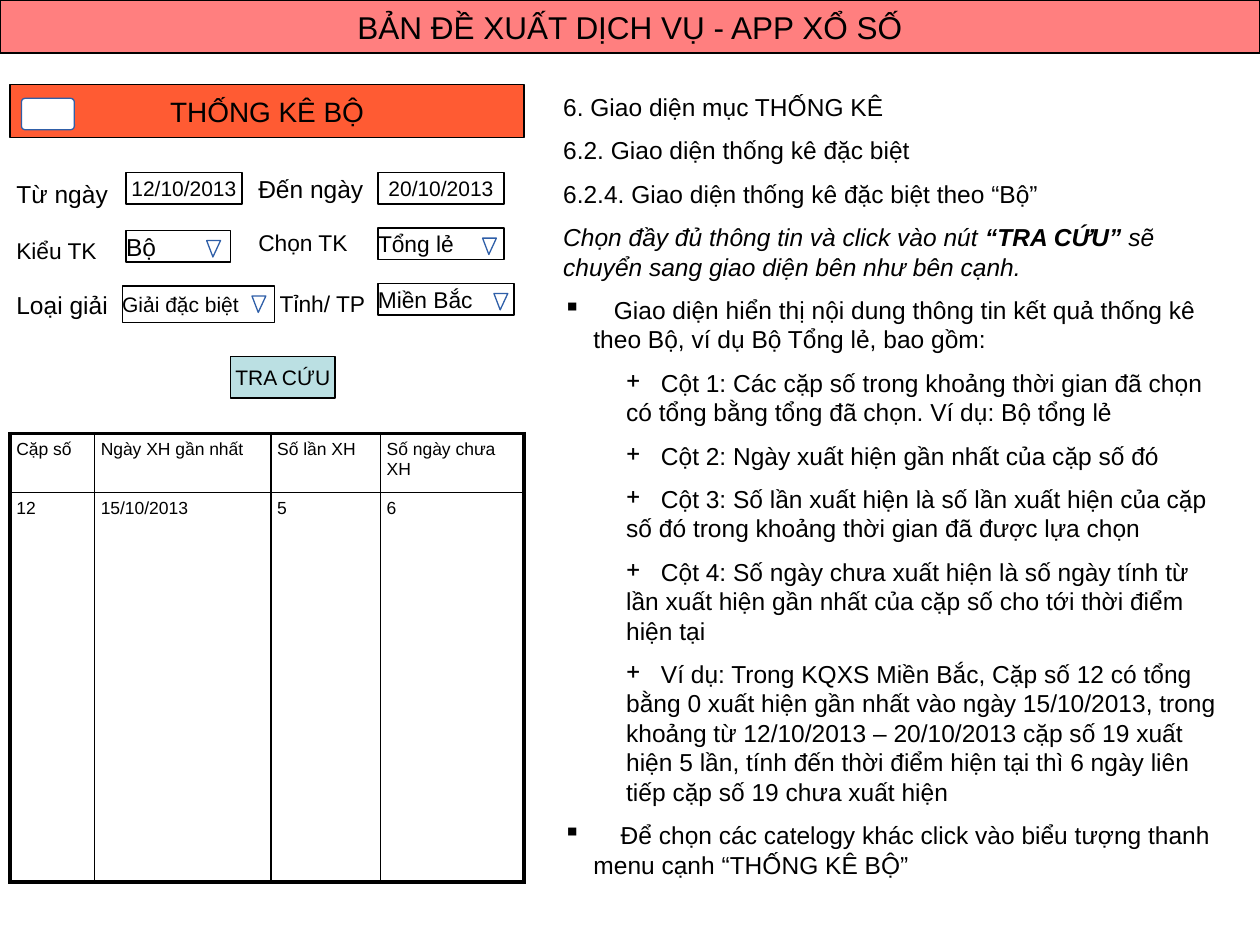
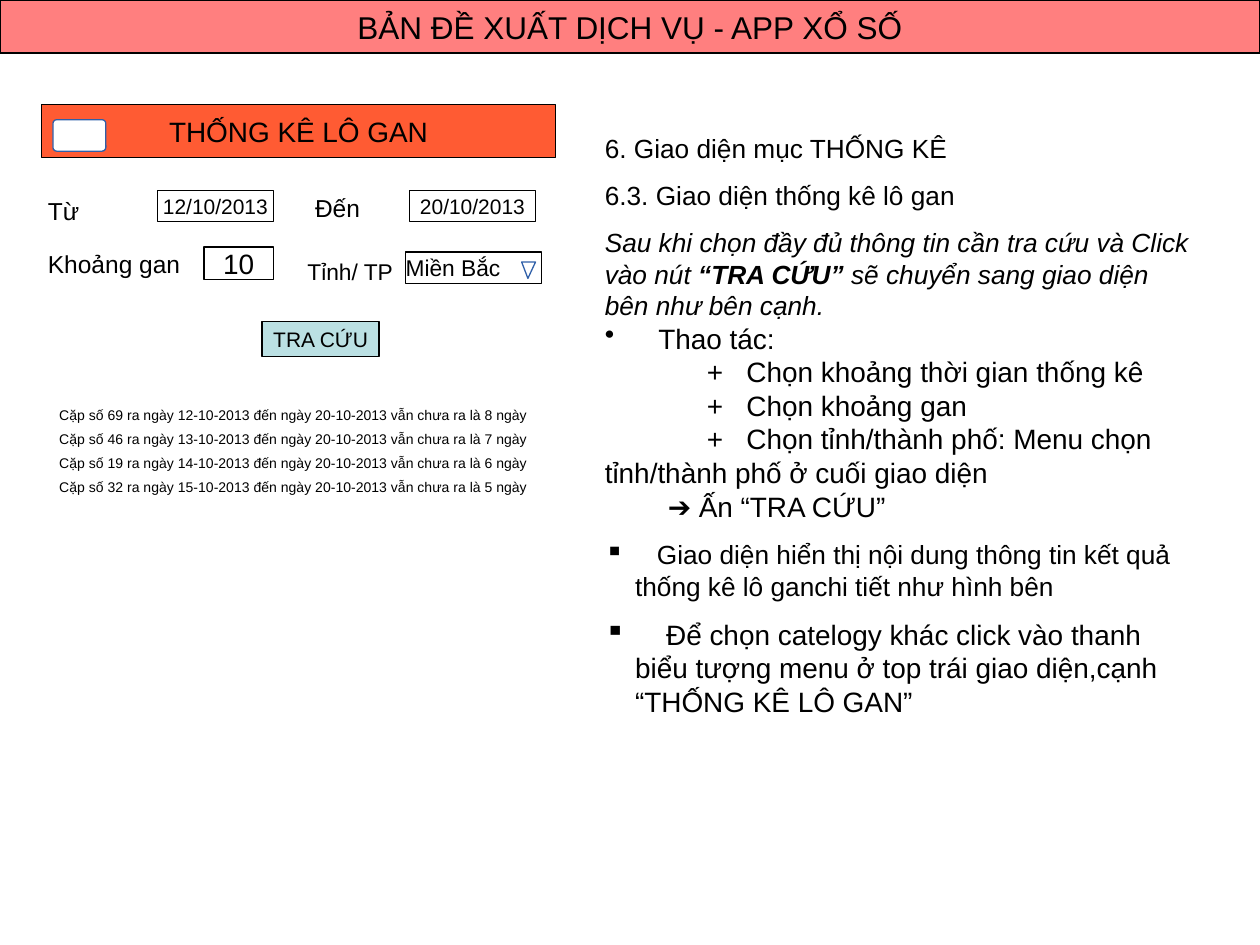
from lxml import etree
from pptx import Presentation
from pptx.dml.color import RGBColor
from pptx.enum import shapes, text
from pptx.oxml import ns
from pptx.util import Inches, Pt

BLACK = RGBColor(0, 0, 0)
WHITE = RGBColor(255, 255, 255)
BANNER_RED = RGBColor(255, 0, 0)
HEADING_ORANGE = RGBColor(255, 51, 0)
BUTTON_TEAL = RGBColor(0xBB, 0xE0, 0xE3)
OUTLINE_BLUE = RGBColor(0x2F, 0x5F, 0xA8)
FONT = "Arial"
SPACE_WIDTH = 0.278
LINE_HEIGHT = {12: 0.29, 13: 0.3, 14: 0.32, 16: 0.34, 18: 0.38}
BANNER = "BẢN ĐỀ XUẤT DỊCH VỤ - APP XỔ SỐ"

# kind: bullet, bullet colour-free marker, left margin, first indent, level, lead text
KINDS = {
    "plain": dict(bullet=None, margin=0, indent=0, level=0, lead=""),
    "square": dict(bullet="▪", margin=0.24, indent=-0.24, level=0, lead=""),
    "dot": dict(bullet="•", margin=0.24, indent=-0.24, level=0, lead=""),
    "plus": dict(bullet="+", margin=0.5, indent=0, level=1, lead=""),
    "step": dict(bullet=None, margin=0, indent=0.81, level=1, lead="+"),
    "result": dict(bullet=None, margin=0, indent=0.5, level=1, lead=""),
}

# paragraph: kind, size, space before, width of the leading gap in spaces, runs
SET_STATISTICS = {
    "heading": ("THỐNG KÊ BỘ", 0.08, 0.67, 1.68),
    "menu": (0.17, 0.78),
    "labels": [
        ("Từ ngày", 14, 0.08, 1.37, 1.25), ("Đến ngày", 14, 2, 1.33, 1.14),
        ("Kiểu TK", 13, 0.08, 1.83, 1), ("Chọn TK", 13, 2, 1.77, 1),
        ("Loại giải", 14, 0.08, 2.25, 1.25), ("Tỉnh/ TP", 13, 2.17, 2.25, 1.08),
    ],
    "inputs": [
        ("12/10/2013", 12, 1, 1.37, 0.92, 0.25, 0.95),
        ("20/10/2013", 12, 3, 1.37, 1, 0.25, 0.95),
    ],
    "choices": [
        ("Bộ", 14, 1, 1.83, 0.83, 0.25, 0.35, 1.64),
        ("Tổng lẻ", 13, 3, 1.81, 1, 0.25, 0.72, 3.83),
        ("Giải đặc biệt", 12, 0.97, 2.27, 1.21, 0.29, 1.04, 2),
        ("Miền Bắc", 13, 3, 2.25, 1.08, 0.25, 0.87, 3.92),
    ],
    "button": (1.83, 2.83, 0.83, 0.33),
    "guide": (4.42, 0.68, 5.33, 6.15, [
        ("plain", 14, 8, 0, [("6. Giao diện mục THỐNG KÊ", "")]),
        ("plain", 14, 8, 0, [("6.2. Giao diện thống kê đặc biệt", "")]),
        ("plain", 14, 8, 0, [("6.2.4. Giao diện thống kê đặc biệt theo “Bộ”", "")]),
        ("plain", 14, 8, 0, [("Chọn đầy đủ thông tin và click vào nút", "i"), (" “TRA CỨU” ", "bi"),
                             ("sẽ chuyển sang giao diện bên như bên cạnh.", "i")]),
        ("square", 14, 8, 3, [("Giao diện hiển thị nội dung thông tin kết quả thống kê theo Bộ, "
                               "ví dụ Bộ Tổng lẻ, bao gồm:", "")]),
        ("plus", 14, 8, 3, [("Cột 1: Các cặp số trong khoảng thời gian đã chọn có tổng bằng tổng "
                             "đã chọn. Ví dụ: Bộ tổng lẻ", "")]),
        ("plus", 14, 8, 3, [("Cột 2: Ngày xuất hiện gần nhất của cặp số đó", "")]),
        ("plus", 14, 8, 3, [("Cột 3: Số lần xuất hiện là số lần xuất hiện của cặp số đó trong "
                             "khoảng thời gian đã được lựa chọn", "")]),
        ("plus", 14, 8, 3, [("Cột 4: Số ngày chưa xuất hiện là số ngày tính từ lần xuất hiện gần "
                             "nhất của cặp số cho tới thời điểm hiện tại", "")]),
        ("plus", 14, 8, 3, [("Ví dụ: Trong KQXS Miền Bắc, Cặp số 12 có tổng bằng 0 xuất hiện gần "
                             "nhất vào ngày 15/10/2013, trong khoảng từ 12/10/2013 – 20/10/2013 "
                             "cặp số 19 xuất hiện 5 lần, tính đến thời điểm hiện tại thì 6 ngày "
                             "liên tiếp cặp số 19 chưa xuất hiện", "")]),
        ("square", 14, 8, 4, [("Để chọn các catelogy khác click vào biểu tượng thanh menu cạnh "
                               "“THỐNG KÊ BỘ”", "")]),
    ]),
}
RESULT_ROWS = [
    ("Cặp số", "Ngày XH gần nhất", "Số lần XH", "Số ngày chưa XH"),
    ("12", "15/10/2013", "5", "6"),
]
RESULT_WIDTHS = (0.67, 1.4, 0.87, 1.14)
RESULT_HEIGHTS = (0.47, 3.09)

GAP_STATISTICS = {
    "heading": ("THỐNG KÊ LÔ GAN", 0.33, 0.83, 2.21),
    "menu": (0.42, 0.95),
    "labels": [
        ("Từ", 14, 0.33, 1.51, 0.5), ("Đến", 14, 2.45, 1.48, 0.58),
        ("Khoảng gan", 14, 0.33, 1.93, 1.33), ("Tỉnh/ TP", 13, 2.39, 2, 1.08),
    ],
    "inputs": [
        ("12/10/2013", 12, 1.25, 1.51, 0.92, 0.25, 0.95),
        ("20/10/2013", 12, 3.25, 1.51, 1, 0.25, 0.95),
        ("10", 16, 1.62, 1.96, 0.55, 0.26, 0.36),
    ],
    "choices": [("Miền Bắc", 13, 3.22, 2, 1.08, 0.25, 0.87, 4.14)],
    "button": (2.08, 2.55, 0.93, 0.28),
    "guide": (4.75, 1, 4.75, 4.55, [
        ("plain", 15, 9, 0, [("6. Giao diện mục THỐNG KÊ", "")]),
        ("plain", 15, 9, 0, [("6.3. Giao diện thống kê lô gan", "")]),
        ("plain", 15, 9, 0, [("Sau khi chọn đầy đủ thông tin cần tra cứu và Click vào nút", "i"),
                             (" “TRA CỨU” ", "bi"),
                             ("sẽ chuyển sang giao diện bên như bên cạnh.", "i")]),
        ("dot", 16, 0, 3, [("Thao tác:", "")]),
        ("step", 16, 0, 3, [("Chọn khoảng thời gian thống kê", "")]),
        ("step", 16, 0, 3, [("Chọn khoảng gan", "")]),
        ("step", 16, 0, 3, [("Chọn tỉnh/thành phố: Menu chọn tỉnh/thành phố ở cuối giao diện", "")]),
        ("result", 16, 0, 0, [("➔ Ấn “TRA CỨU”", "")]),
        ("square", 15, 9, 3, [("Giao diện hiển thị nội dung thông tin kết quả thống kê lô ganchi "
                               "tiết như hình bên", "")]),
        ("square", 16, 9, 4, [("Để chọn catelogy khác click vào thanh biểu tượng menu ở top trái "
                               "giao diện,cạnh “THỐNG KÊ LÔ GAN”", "")]),
    ]),
}
OVERDUE_PAIRS = [(69, 12, 8), (46, 13, 7), (19, 14, 6), (32, 15, 5)]


def style_run(run, size, style=""):
    run.font.name, run.font.size = FONT, Pt(size)
    run.font.color.rgb = BLACK
    run.font.bold, run.font.italic = "b" in style, "i" in style


def outline(shape, fill, line=BLACK, alpha=None):
    shape.shadow.inherit = False
    shape.fill.solid()
    shape.fill.fore_color.rgb = fill
    shape.line.color.rgb, shape.line.width = line, Pt(0.75)
    if alpha:
        colour = shape.fill._xPr.find(".//" + ns.qn("a:srgbClr"))
        etree.SubElement(colour, ns.qn("a:alpha"), val=str(alpha * 1000))


def add_text(parent, x, y, w, h, inset=0.05, wrap=True):
    box = parent.add_textbox(Inches(x), Inches(y), Inches(w), Inches(h))
    frame = box.text_frame
    frame.margin_left = frame.margin_top = frame.margin_right = frame.margin_bottom = Inches(inset)
    frame.word_wrap = wrap
    frame.auto_size = text.MSO_AUTO_SIZE.SHAPE_TO_FIT_TEXT
    return frame


def add_panel(slide, label, size, x, y, w, h, label_w, fill=WHITE, alpha=None, centred=True, before=0):
    group = slide.shapes.add_group_shape().shapes
    panel = group.add_shape(shapes.MSO_SHAPE.RECTANGLE, Inches(x), Inches(y), Inches(w), Inches(h))
    outline(panel, fill, alpha=alpha)
    label_h = LINE_HEIGHT[size]
    label_x = x + (w - label_w) / 2 if centred else x
    frame = add_text(group, label_x, y + (h - label_h) / 2, label_w, label_h, 0, False)
    frame.vertical_anchor = text.MSO_ANCHOR.MIDDLE
    frame.text = label
    paragraph = frame.paragraphs[0]
    paragraph.alignment = text.PP_ALIGN.CENTER if centred else text.PP_ALIGN.LEFT
    paragraph.space_before = Pt(before)
    style_run(paragraph.runs[0], size)


def add_arrow(slide, x, y):
    builder = slide.shapes.build_freeform(Inches(x), Inches(y))
    builder.add_line_segments([(Inches(x + 0.11), Inches(y)), (Inches(x + 0.05), Inches(y + 0.13))])
    outline(builder.convert_to_shape(), WHITE, OUTLINE_BLUE)


def add_lines(slide, x, y, w, h, lines, size, before):
    frame = add_text(slide.shapes, x, y, w, h)
    frame.text = "\n".join(lines)
    for paragraph in frame.paragraphs:
        paragraph.space_before = Pt(before)
        style_run(paragraph.runs[0], size)


def add_guide(slide, x, y, w, h, paragraphs):
    frame = add_text(slide.shapes, x, y, w, h)
    for index, (kind, size, before, gap, runs) in enumerate(paragraphs):
        paragraph = frame.add_paragraph() if index else frame.paragraphs[0]
        rule = KINDS[kind]
        paragraph.level, paragraph.space_before = rule["level"], Pt(before)
        props = paragraph._p.get_or_add_pPr()
        props.set("marL", str(Inches(rule["margin"])))
        props.set("indent", str(Inches(rule["indent"])))
        if rule["bullet"]:
            etree.SubElement(props, ns.qn("a:buChar"), char=rule["bullet"])
        else:
            etree.SubElement(props, ns.qn("a:buNone"))
        leads = [(rule["lead"], "")] if rule["lead"] else []
        gaps = [(" ", "")] if gap else []
        for words, style in leads + gaps + runs:
            run = paragraph.add_run()
            run.text = words
            style_run(run, size, style)
            if words == " ":
                run.font._element.set("spc", str(round((gap - 1) * SPACE_WIDTH * size * 100)))


def set_borders(cell, widths):
    props = cell._tc.get_or_add_tcPr()
    for position, (side, width) in enumerate(widths.items()):
        line = etree.Element(ns.qn("a:" + side), w=str(Pt(width)))
        fill = etree.SubElement(line, ns.qn("a:solidFill"))
        etree.SubElement(fill, ns.qn("a:srgbClr"), val=str(BLACK))
        props.insert(position, line)


def add_results(slide, x, y):
    table = slide.shapes.add_table(
        len(RESULT_HEIGHTS), len(RESULT_WIDTHS), Inches(x), Inches(y),
        Inches(sum(RESULT_WIDTHS)), Inches(sum(RESULT_HEIGHTS))).table
    table.first_row = table.horz_banding = False
    for column, width in zip(table.columns, RESULT_WIDTHS):
        column.width = Inches(width)
    last_row, last_column = len(RESULT_HEIGHTS) - 1, len(RESULT_WIDTHS) - 1
    for r, values in enumerate(RESULT_ROWS):
        table.rows[r].height = Inches(RESULT_HEIGHTS[r])
        for c, value in enumerate(values):
            cell = table.cell(r, c)
            cell.fill.background()
            cell.margin_left = cell.margin_right = cell.margin_top = cell.margin_bottom = Inches(0.05)
            cell.text_frame.text = value
            paragraph = cell.text_frame.paragraphs[0]
            paragraph.space_before = Pt(2)
            style_run(paragraph.runs[0], 10)
            edges = {"lnL": c == 0, "lnR": c == last_column, "lnT": r == 0, "lnB": r == last_row}
            set_borders(cell, {side: 2.25 if outer else 1 for side, outer in edges.items()})


def add_screen(deck, screen):
    slide = deck.slides.add_slide(deck.slide_layouts[6])
    add_guide(slide, *screen["guide"])
    add_panel(slide, BANNER, 18, 0, 0, 10, 0.42, 4.5, BANNER_RED, 50)
    title, x, y, title_w = screen["heading"]
    add_panel(slide, title, 16, x, y, 4.08, 0.42, title_w, HEADING_ORANGE, 80, before=9)
    menu_x, menu_y = screen["menu"]
    menu = slide.shapes.add_shape(shapes.MSO_SHAPE.ROUNDED_RECTANGLE, Inches(menu_x),
                                  Inches(menu_y), Inches(0.42), Inches(0.25))
    menu.adjustments[0] = 0.12
    outline(menu, WHITE, OUTLINE_BLUE)
    add_panel(slide, "TRA CỨU", 12, *screen["button"], 0.88, BUTTON_TEAL)
    for field in screen["inputs"]:
        add_panel(slide, *field)
    for *field, arrow_x in screen["choices"]:
        add_panel(slide, *field, centred=False)
        add_arrow(slide, arrow_x, field[3] + 0.08)
    for label, size, x, y, w in screen["labels"]:
        add_lines(slide, x, y, w, LINE_HEIGHT[size], [label], size, 8 if size == 14 else 7)
    return slide


deck = Presentation()
deck.slide_width, deck.slide_height = Inches(10), Inches(7.5)
add_results(add_screen(deck, SET_STATISTICS), 0.08, 3.44)
overdue = [f"Cặp số {pair} ra ngày {day}-10-2013 đến ngày 20-10-2013 vẫn chưa ra là {days} ngày"
           for pair, day, days in OVERDUE_PAIRS]
add_lines(add_screen(deck, GAP_STATISTICS), 0.42, 3.18, 4.08, 0.8, overdue, 8, 4)
deck.save("out.pptx")
